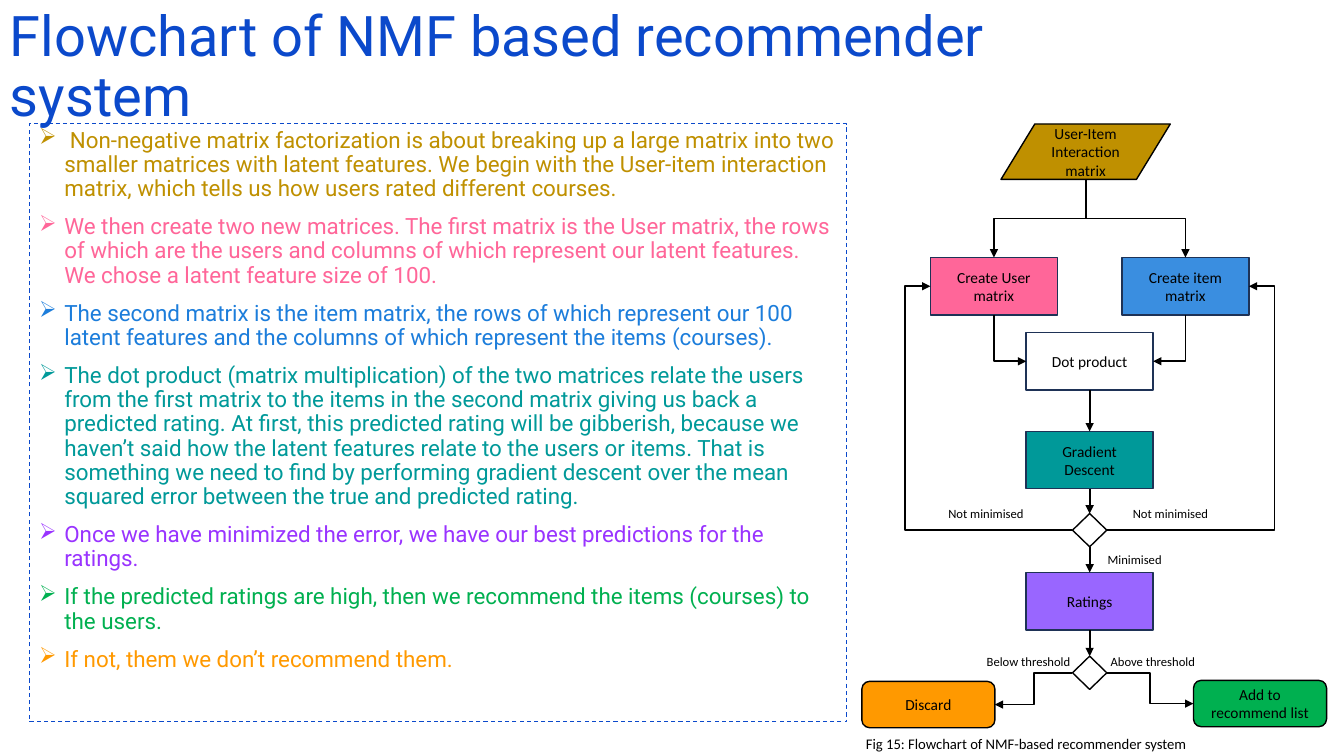
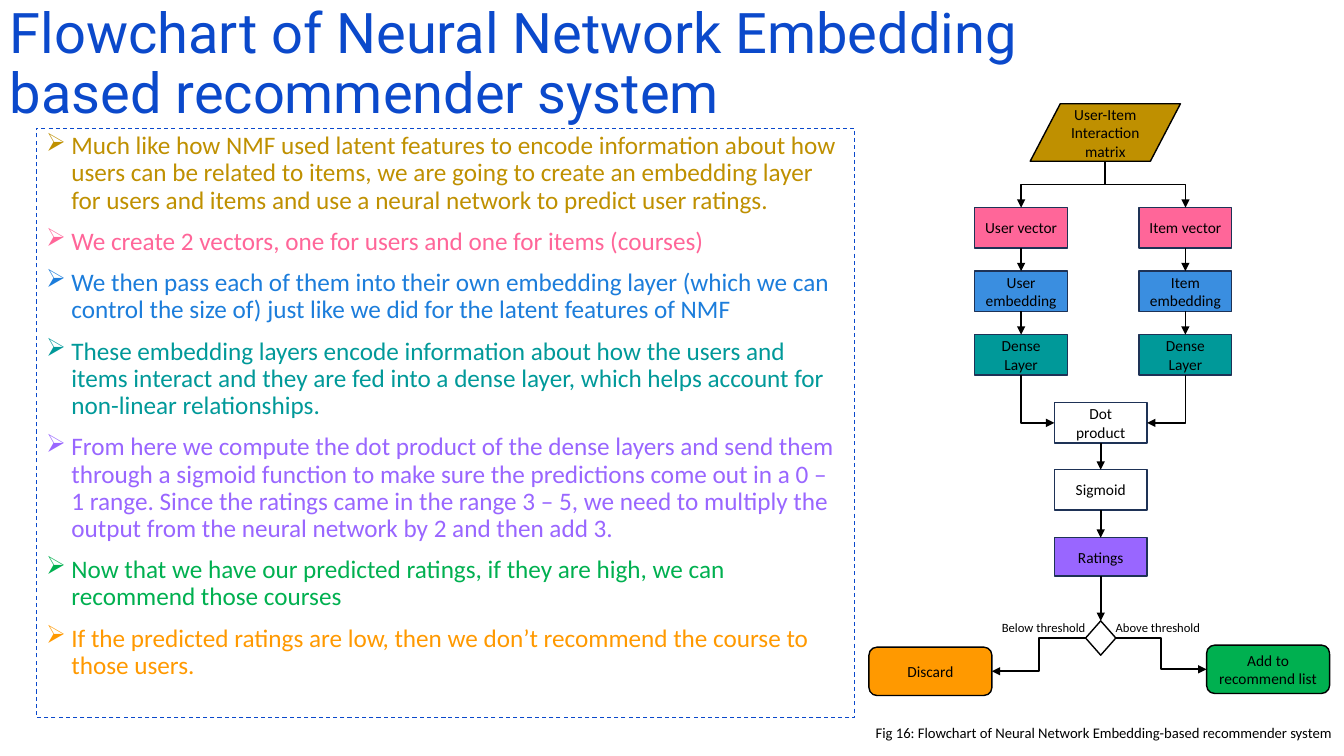
import lxml.etree
import pptx
import pptx.dml.color
import pptx.enum.dml
import pptx.enum.shapes
import pptx.enum.text
import pptx.oxml.ns
import pptx.util

SHAPE = pptx.enum.shapes.MSO_SHAPE
CONNECTOR = pptx.enum.shapes.MSO_CONNECTOR
ALIGN = pptx.enum.text.PP_ALIGN
ANCHOR = pptx.enum.text.MSO_ANCHOR
qn = pptx.oxml.ns.qn

BLUE, NAVY, BLACK, WHITE = "0B49CB", "1E3256", "000000", "FFFFFF"
GOLD, PINK, TEAL, GREEN, ORANGE = "BF9000", "FF6699", "009999", "00B050", "FF9900"
SKY, SKY_TEXT = "3A8EE0", "1C7DDB"
VIOLET, VIOLET_TEXT = "9966FF", "9933FF"


def cells(count):
    """Length of a number of grid columns or rows, each a tenth of an inch."""
    return pptx.util.Inches(count / 10)


def colour(code):
    return pptx.dml.color.RGBColor.from_string(code)


def write(frame, text, *, first=True, size=11, font="Calibri", ink=BLACK,
          align=ALIGN.LEFT, line=None, before=None, bullet=None):
    """Put text in a frame as its first paragraph or as a further one."""
    frame.word_wrap = True
    para = frame.paragraphs[0] if first else frame.add_paragraph()
    para.alignment = align
    if line:
        para.line_spacing = line
    if before:
        para.space_before = pptx.util.Pt(before)
    if bullet:
        layout = para._p.get_or_add_pPr()
        layout.set("marL", str(cells(2.5)))
        layout.set("indent", str(-cells(2.5)))
        lxml.etree.SubElement(layout, qn("a:buChar"), char=bullet)
    span = para.add_run()
    span.text = text
    span.font.size = pptx.util.Pt(size)
    span.font.name = font
    span.font.color.rgb = colour(ink)


def side_point(shape, side):
    """Middle of one side of a shape."""
    across = {"left": 0, "right": 1}.get(side, 0.5)
    down = {"top": 0, "bottom": 1}.get(side, 0.5)
    return (round(shape.left + across * shape.width),
            round(shape.top + down * shape.height))


class Flowchart:
    """The deck's style and the slide being drawn; all lengths in grid cells."""

    def __init__(self, deck):
        self.deck = deck
        self.page = None

    def start(self, title, top=0):
        self.page = self.deck.slides.add_slide(self.deck.slide_layouts[6])
        self.text(title, 0, top, 115, 14.5, size=40, font="Roboto", ink=BLUE, line=0.9)

    def text(self, words, left, top, width, height, **style):
        box = self.page.shapes.add_textbox(*map(cells, (left, top, width, height)))
        write(box.text_frame, words, **style)

    def label(self, words, left, top):
        self.text(words, left, top, 11.1, 2.5, size=9)

    def caption(self, words, left, top):
        self.text(words, left, top, 47.8, 2.8, size=10.5, align=ALIGN.CENTER)

    def shape(self, kind, left, top, width, height, fill, edge, weight):
        box = self.page.shapes.add_shape(kind, *map(cells, (left, top, width, height)))
        box.shadow.inherit = False
        if fill:
            box.fill.solid()
            box.fill.fore_color.rgb = colour(fill)
        else:
            box.fill.background()
        box.line.color.rgb = colour(edge)
        box.line.width = pptx.util.Pt(weight)
        return box

    def panel(self, items, left, top, width, height, **style):
        """Dashed frame of coloured bullet points."""
        box = self.shape(SHAPE.RECTANGLE, left, top, width, height, None, BLUE, 0.75)
        box.line.dash_style = pptx.enum.dml.MSO_LINE.DASH
        box.text_frame.vertical_anchor = ANCHOR.TOP
        for index, (ink, words) in enumerate(items):
            write(box.text_frame, words, first=index == 0, ink=ink,
                  line=0.9, before=10, bullet="➢", **style)

    def node(self, words, centre, middle, size, fill=None, kind=SHAPE.RECTANGLE):
        """Chart shape placed by its centre; plain rectangles get a navy edge."""
        width, height = size
        edge = NAVY if kind == SHAPE.RECTANGLE else BLACK
        box = self.shape(kind, centre - width / 2, middle - height / 2,
                         width, height, fill, edge, 1)
        if words:
            box.text_frame.vertical_anchor = ANCHOR.MIDDLE
            write(box.text_frame, words, align=ALIGN.CENTER)
        return box

    def source(self, centre, middle, size):
        return self.node("User-Item Interaction matrix", centre, middle, size,
                         GOLD, SHAPE.FLOWCHART_DATA)

    def decision(self, centre, middle, size):
        return self.node("", centre, middle, size, kind=SHAPE.FLOWCHART_DECISION)

    def link(self, start, leave, end, enter, turn=0.5):
        """Arrow between two sides; turn is the share of the way to the bend."""
        x1, y1 = side_point(start, leave)
        x2, y2 = side_point(end, enter)
        vertical = leave == "bottom"
        straight = vertical and abs(x1 - x2) < cells(0.1)
        ends, spin = (x1, y1, x2, y2), None
        if vertical and not straight:
            # A downward elbow is a sideways one turned about its centre.
            centre, middle = (x1 + x2) // 2, (y1 + y2) // 2
            along, across = abs(y2 - y1) // 2, abs(x2 - x1) // 2
            spin, reach = (90, along) if x2 < x1 else (270, -along)
            ends = (centre - reach, middle - across, centre + reach, middle + across)
        kind = CONNECTOR.STRAIGHT if straight else CONNECTOR.ELBOW
        arrow = self.page.shapes.add_connector(kind, *ends)
        arrow.line.color.rgb = colour(BLACK)
        arrow.line.width = pptx.util.Pt(1.25)
        drawing = arrow._element.spPr
        if spin:
            drawing.find(qn("a:xfrm")).set("rot", str(spin * 60000))
        outline = drawing.find(qn("a:ln"))
        lxml.etree.SubElement(outline, qn("a:tailEnd"), type="triangle")
        lxml.etree.SubElement(drawing, qn("a:effectLst"))
        geometry = drawing.find(qn("a:prstGeom"))
        if vertical and enter != "top":
            geometry.set("prst", "bentConnector2")
        elif turn != 0.5:
            guides = geometry.find(qn("a:avLst"))
            lxml.etree.SubElement(guides, qn("a:gd"), name="adj1",
                                  fmla=f"val {round(turn * 100000)}")

    def chain(self, *nodes):
        for upper, lower in zip(nodes, nodes[1:]):
            self.link(upper, "bottom", lower, "top")

    def outcomes(self, choice, size, discard, recommend, below, above):
        """Two results of the threshold choice; places are (across, down) pairs."""
        for words, place, fill, leave, enter in (
                ("Discard", discard, ORANGE, "left", "right"),
                ("Add to recommend list", recommend, GREEN, "right", "left")):
            box = self.node(words, *place, size, fill, SHAPE.ROUNDED_RECTANGLE)
            self.link(choice, leave, box, enter)
        self.label("Below threshold", *below)
        self.label("Above threshold", *above)


NMF_POINTS = [
    (GOLD, " Non-negative matrix factorization is about breaking up a large matrix into two "
     "smaller matrices with latent features. We begin with the User-item interaction "
     "matrix, which tells us how users rated different courses."),
    (PINK, "We then create two new matrices. The first matrix is the User matrix, the rows "
     "of which are the users and columns of which represent our latent features. "
     "We chose a latent feature size of 100."),
    (SKY_TEXT, "The second matrix is the item matrix, the rows of which represent our 100 "
     "latent features and the columns of which represent the items (courses)."),
    (TEAL, "The dot product (matrix multiplication) of the two matrices relate the users "
     "from the first matrix to the items in the second matrix giving us back a "
     "predicted rating. At first, this predicted rating will be gibberish, because we "
     "haven’t said how the latent features relate to the users or items. That is "
     "something we need to find by performing gradient descent over the mean "
     "squared error between the true and predicted rating."),
    (VIOLET_TEXT, "Once we have minimized the error, we have our best predictions for the "
     "ratings."),
    (GREEN, "If the predicted ratings are high, then we recommend the items (courses) to "
     "the users."),
    (ORANGE, "If not, them we don’t recommend them."),
]

EMBEDDING_POINTS = [
    (GOLD, "Much like how NMF used latent features to encode information about how "
     "users can be related to items, we are going to create an embedding layer "
     "for users and items and use a neural network to predict user ratings."),
    (PINK, "We create 2 vectors, one for users and one for items (courses)"),
    (SKY_TEXT, "We then pass each of them into their own embedding layer (which we can "
     "control the size of) just like we did for the latent features of NMF"),
    (TEAL, "These embedding layers encode information about how the users and "
     "items interact and they are fed into a dense layer, which helps account for "
     "non-linear relationships."),
    (VIOLET, "From here we compute the dot product of the dense layers and send them "
     "through a sigmoid function to make sure the predictions come out in a 0 – "
     "1 range. Since the ratings came in the range 3 – 5, we need to multiply the "
     "output from the neural network by 2 and then add 3."),
    (GREEN, "Now that we have our predicted ratings, if they are high, we can "
     "recommend those courses"),
    (ORANGE, "If the predicted ratings are low, then we don’t recommend the course to "
     "those users."),
]


def draw_nmf(chart):
    chart.start("Flowchart of NMF based recommender system", top=0.3)
    chart.panel(NMF_POINTS, 2.9, 12.3, 81.1, 59.3, size=16, font="Roboto")
    axis, step, diamond = 108.1, (12.6, 5.7), (3.4, 3.3)
    source = chart.source(107.7, 15.05, (16.8, 5.5))
    product = chart.node("Dot product", axis, 35.85, step, WHITE)
    descent = chart.node("Gradient Descent", axis, 45.65, step, TEAL)
    minimised = chart.decision(axis, 52.6, diamond)
    ratings = chart.node("Ratings", axis, 59.65, step, VIOLET)
    threshold = chart.decision(axis, 66.75, diamond)
    chart.chain(product, descent, minimised, ratings, threshold)
    for words, centre, fill, outer, inner, note in (
            ("Create User matrix", 98.6, PINK, "left", "left", 93.1),
            ("Create item matrix", 117.6, SKY, "right", "right", 111.4)):
        matrix = chart.node(words, centre, 28.4, step, fill)
        chart.chain(source, matrix)
        chart.link(matrix, "bottom", product, inner)
        chart.link(minimised, outer, matrix, outer, turn=1.18)
        chart.label("Not minimised", note, 49.7)
    chart.label("Minimised", 108.9, 54.3)
    chart.outcomes(threshold, (13.2, 4.6), (92.1, 69.9), (125, 69.8),
                   (96.9, 64.4), (109.2, 64.4))
    chart.caption("Fig 15: Flowchart of NMF-based recommender system", 77.9, 72.4)


def draw_embedding(chart):
    chart.start("Flowchart of Neural Network Embedding based recommender system")
    chart.panel(EMBEDDING_POINTS, 3.6, 12.7, 81.2, 58.5, size=18)
    axis, step = 109.2, (9.2, 4)
    source = chart.source(109.65, 13.15, (14.9, 5.7))
    product = chart.node("Dot product", axis, 41.95, step, WHITE)
    sigmoid = chart.node("Sigmoid", axis, 48.6, step, WHITE)
    ratings = chart.node("Ratings", axis, 55.25, (9.2, 3.8), VIOLET)
    threshold = chart.decision(axis, 63.3, (3, 3.4))
    chart.chain(product, sigmoid, ratings, threshold)
    for name, centre, inner in (("User", 101.3, "left"), ("Item", 117.6, "right")):
        layers = [
            chart.node(words, centre, 22.6 + 6.3 * row, step, fill)
            for row, (words, fill) in enumerate((
                (f"{name} vector", PINK), (f"{name} embedding", SKY),
                ("Dense Layer", TEAL)))
        ]
        chart.chain(source, *layers)
        chart.link(layers[-1], "bottom", product, inner)
    chart.outcomes(threshold, (12.2, 4.8), (92.3, 66.6), (125.8, 66.4),
                   (98.4, 61), (109.7, 61))
    chart.caption("Fig 16: Flowchart of Neural Network Embedding-based recommender system",
                  85.6, 71.3)


def main():
    deck = pptx.Presentation()
    deck.slide_width, deck.slide_height = cells(133.33), cells(75)
    chart = Flowchart(deck)
    draw_nmf(chart)
    draw_embedding(chart)
    deck.save("out.pptx")


if __name__ == "__main__":
    main()
